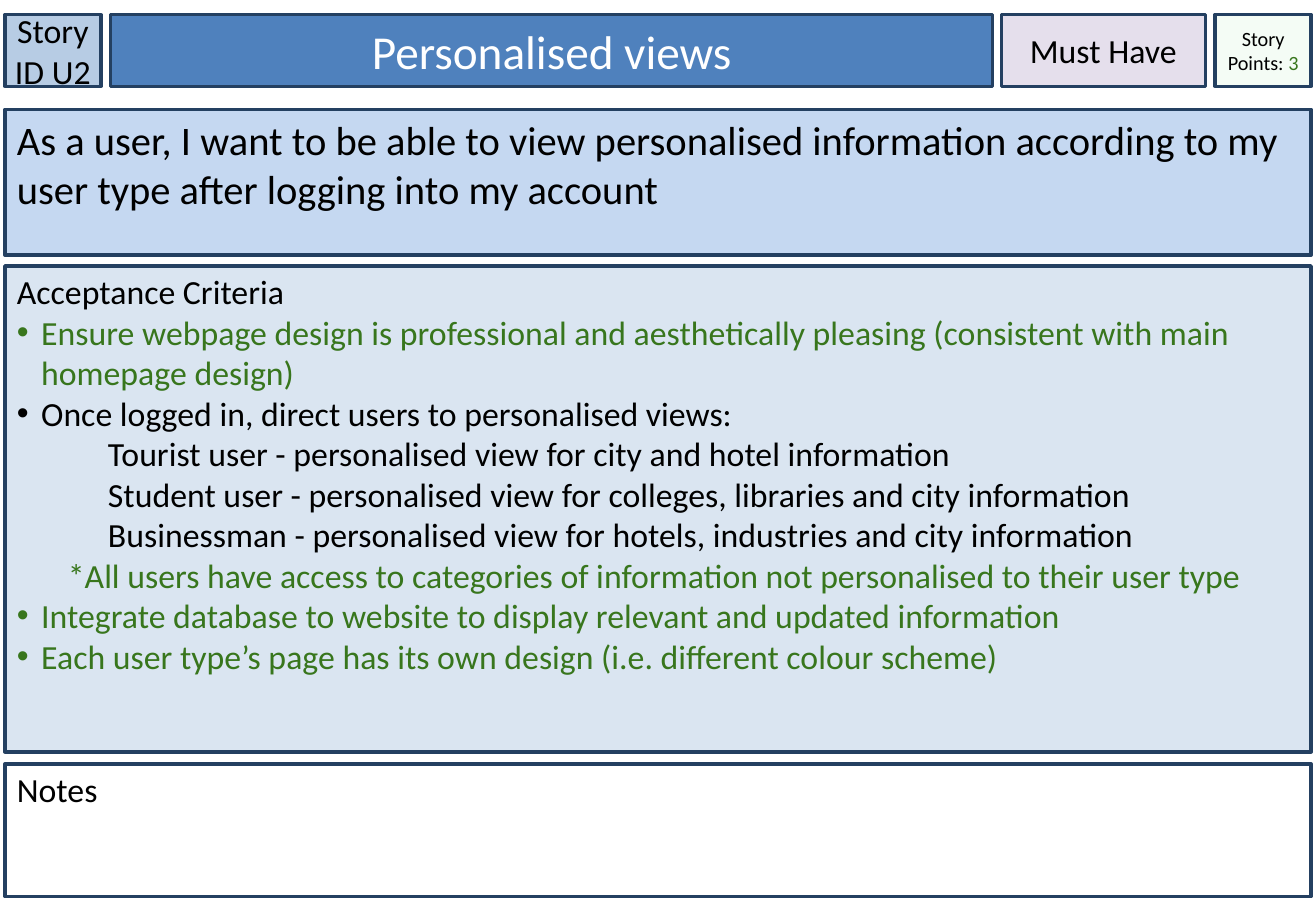
from dataclasses import dataclass

from lxml.etree import SubElement
from pptx import Presentation
from pptx.dml.color import RGBColor
from pptx.enum.shapes import MSO_SHAPE as Preset
from pptx.enum.text import MSO_ANCHOR as Anchor, PP_ALIGN as Align
from pptx.oxml.ns import qn
from pptx.util import Inches, Pt

BLACK, WHITE, GREEN, NAVY = "000000", "FFFFFF", "38761D", "244061"
MARGIN, FULL_WIDTH = 0.04, 10.75
HEADER_TOP, HEADER_HEIGHT = 0.12, 0.59


@dataclass(frozen=True)
class Span:
    text: str
    color: str = BLACK


@dataclass(frozen=True)
class Line:
    spans: tuple[Span, ...]
    indent: float = 0
    hanging: float = 0
    level: int = 0
    bullet: bool = False


@dataclass(frozen=True)
class Panel:
    left: float
    top: float
    width: float
    height: float
    fill: str
    size: int
    lines: tuple[Line, ...]
    centred: bool = False
    side_inset: float = 0.1
    top_inset: float = 0.05
    opacity: int = 100


def rgb(color: str) -> RGBColor:
    return RGBColor.from_string(color)


def apply_format(target, values: dict) -> None:
    for attribute, value in values.items():
        setattr(target, attribute, value)


def plain(text: str, color: str = BLACK) -> Line:
    return Line((Span(text, color),))


def criterion(text: str, color: str = GREEN) -> Line:
    return Line((Span(text, color),), 0.2, -0.2, bullet=True)


def user_view(text: str) -> Line:
    return Line((Span(text),), 1, -0.25, level=1)


def header(left: float, width: float, fill: str, size: int, line: Line,
           side_inset: float = 0, opacity: int = 100) -> Panel:
    return Panel(left, HEADER_TOP, width, HEADER_HEIGHT, fill, size, (line,),
                 True, side_inset, opacity=opacity)


def section(top: float, height: float, fill: str, size: int,
            lines: tuple[Line, ...], top_inset: float = 0.04) -> Panel:
    return Panel(MARGIN, top, FULL_WIDTH, height, fill, size, lines,
                 top_inset=top_inset)


def write_line(paragraph, line: Line, size: int, centred: bool) -> None:
    apply_format(paragraph, {
        "alignment": Align.CENTER if centred else Align.LEFT,
        "level": line.level,
    })
    properties = paragraph._p.get_or_add_pPr()
    properties.set("marL", str(Inches(line.indent)))
    properties.set("indent", str(Inches(line.hanging)))
    if line.bullet:
        bullet_color = SubElement(properties, qn("a:buClr"))
        SubElement(bullet_color, qn("a:srgbClr"), val=line.spans[0].color)
        SubElement(properties, qn("a:buFont"), typeface="Arial")
        SubElement(properties, qn("a:buChar"), char="•")
    else:
        SubElement(properties, qn("a:buNone"))
    for span in line.spans:
        run = paragraph.add_run()
        run.text = span.text
        apply_format(run.font, {"name": "Calibri", "size": Pt(size)})
        run.font.color.rgb = rgb(span.color)


def draw_panel(slide, panel: Panel) -> None:
    box = slide.shapes.add_shape(
        Preset.RECTANGLE, Inches(panel.left), Inches(panel.top),
        Inches(panel.width), Inches(panel.height))
    box.shadow.inherit = False
    box.fill.solid()
    box.fill.fore_color.rgb = rgb(panel.fill)
    if panel.opacity < 100:
        fill_color = box._element.spPr.find(qn("a:solidFill"))[0]
        SubElement(fill_color, qn("a:alpha"), val=str(panel.opacity * 1000))
    box.line.color.rgb = rgb(NAVY)
    box.line.width = Pt(2)
    frame = box.text_frame
    apply_format(frame, {
        "word_wrap": True,
        "vertical_anchor": Anchor.MIDDLE if panel.centred else Anchor.TOP,
        "margin_left": Inches(panel.side_inset),
        "margin_right": Inches(panel.side_inset),
        "margin_top": Inches(panel.top_inset),
        "margin_bottom": Inches(0.05),
    })
    for index, line in enumerate(panel.lines):
        paragraph = frame.add_paragraph() if index else frame.paragraphs[0]
        write_line(paragraph, line, panel.size, panel.centred)


STORY_CARD = (
    header(MARGIN, 0.79, "B7CCE4", 20, plain("Story ID U2")),
    header(0.91, 7.26, "4F81BD", 28, plain("Personalised views", WHITE), 0.1),
    header(8.24, 1.68, "E5DFEC", 20, plain("Must Have")),
    header(10, 0.79, "CCF0CD", 12,
           Line((Span("Story Points:"), Span(" 3", GREEN))), opacity=20),
    section(0.9, 1.2, "C5D8F1", 24, (
        plain("As a user, I want to be able to view personalised information "
              "according to my user type after logging into my account"),
    ), 0.05),
    section(2.19, 4, "DAE5F1", 20, (
        plain("Acceptance Criteria"),
        criterion("Ensure webpage design is professional and aesthetically "
                  "pleasing (consistent with main homepage design)"),
        criterion("Once logged in, direct users to personalised views:", BLACK),
        user_view("Tourist user - personalised view for city and hotel "
                  "information"),
        user_view("Student user - personalised view for colleges, libraries "
                  "and city information"),
        user_view("Businessman - personalised view for hotels, industries "
                  "and city information"),
        Line((Span("*All users have access to categories of information not "
                   "personalised to their user type", GREEN),), 0.5, -0.08),
        criterion("Integrate database to website to display relevant and "
                  "updated information"),
        criterion("Each user type’s page has its own design (i.e. different "
                  "colour scheme)"),
    )),
    section(6.29, 1.09, WHITE, 20, (plain("Notes"),)),
)

presentation = Presentation()
apply_format(presentation, {
    "slide_width": Inches(10.83),
    "slide_height": Inches(7.5),
})
story_slide = presentation.slides.add_slide(presentation.slide_layouts[6])
for card_panel in STORY_CARD:
    draw_panel(story_slide, card_panel)
presentation.save("out.pptx")
